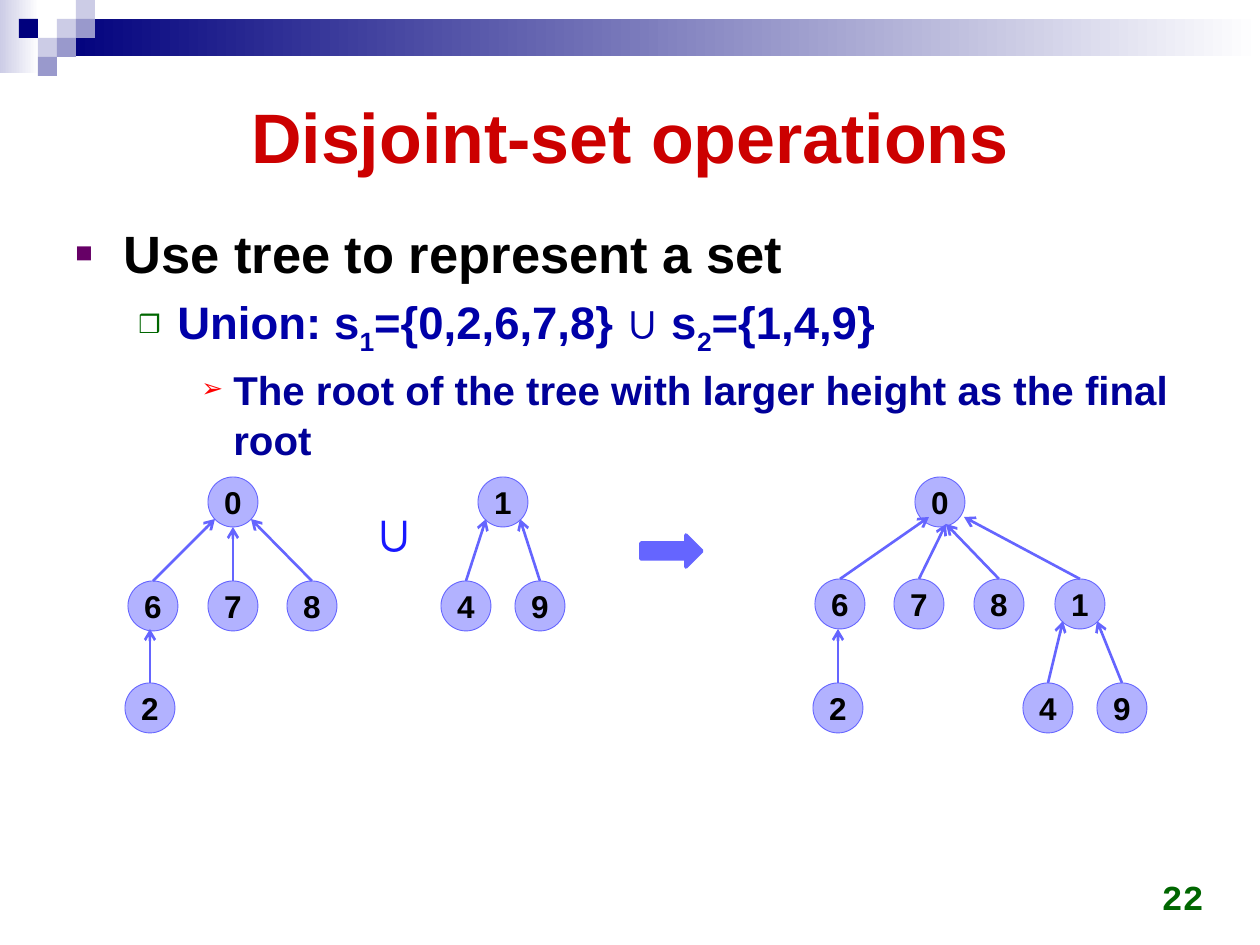
from collections import namedtuple
from dataclasses import dataclass

from pptx import Presentation
from pptx.dml.color import RGBColor
from pptx.enum import shapes, text
from pptx.oxml import parse_xml
from pptx.oxml.ns import nsdecls
from pptx.util import Emu, Pt

SCALE = 914400 / 126  # EMU per px
Box = namedtuple("Box", "left top width height")
Node = namedtuple("Node", "label x y")
Edge = namedtuple("Edge", "child parent dx dy")  # the tip is offset from the parent's centre
Bullet = namedtuple("Bullet", "char color percent margin hanging")


@dataclass(frozen=True)
class Theme:
    font: str = "Arial"
    number_font: str = "Courier New"
    symbol_font: str = "Times New Roman"
    title: str = "CC0000"
    black: str = "000000"
    union: str = "0000A8"
    detail: str = "000099"
    symbol: str = "1818FF"
    green: str = "006600"
    purple: str = "660066"
    red: str = "FF0000"
    navy: str = "00007D"
    pale: str = "CCCCE6"
    mid: str = "9999CC"
    white: str = "FFFFFF"
    node: str = "B2B2FF"
    edge: str = "6565FF"
    title_size: int = 40
    level_sizes: tuple = (30, 26, 23)
    symbol_size: int = 32
    number_size: int = 20
    node_size: int = 18


THEME = Theme()


def px(value):
    return Emu(round(value * SCALE))


def rgb(value):
    return RGBColor.from_string(value)


def place(box):
    return [px(value) for value in box]


def write_span(para, words, size, color, font=THEME.font, bold=True, base=0):
    span = para.add_run()
    span.text = words
    span.font.size, span.font.bold, span.font.name = Pt(size), bold, font
    span.font.color.rgb = rgb(color)
    if base:
        span._r.get_or_add_rPr().set("baseline", str(base * 1000))


def add_text_box(page, box, anchor=text.MSO_ANCHOR.TOP, wrap=True):
    frame = page.shapes.add_textbox(*place(box)).text_frame
    frame.word_wrap, frame.vertical_anchor = wrap, anchor
    return frame


def add_label(page, box, words, align, anchor, wrap=True, **style):
    para = add_text_box(page, box, anchor, wrap).paragraphs[0]
    para.alignment = align
    write_span(para, words, **style)


def add_solid(page, kind, box, fill, line=None, weight=1):
    shape = page.shapes.add_shape(kind, *place(box))
    shape.shadow.inherit = False
    shape.fill.solid()
    shape.fill.fore_color.rgb = rgb(fill)
    if line:
        shape.line.color.rgb = rgb(line)
        shape.line.width = Pt(weight)
    else:
        shape.line.fill.background()
    return shape


def add_fade(page, box, start):
    shape = add_solid(page, shapes.MSO_SHAPE.RECTANGLE, box, start)
    shape.fill.gradient()
    shape.fill.gradient_angle = 0
    for stop, position, color in zip(shape.fill.gradient_stops, (0, 1), (start, THEME.white)):
        stop.position = position
        stop.color.rgb = rgb(color)


def add_arrow(page, start, end):
    line = page.shapes.add_connector(shapes.MSO_CONNECTOR.STRAIGHT, *place(start + end))
    line.line.color.rgb = rgb(THEME.edge)
    line.line.width = Pt(1.5)
    line.line._get_or_add_ln().append(parse_xml(f'<a:tailEnd {nsdecls("a")} type="arrow"/>'))
    line._element.spPr.append(parse_xml(f'<a:effectLst {nsdecls("a")}/>'))


def set_bullet(para, bullet):
    props = para._p.get_or_add_pPr()
    props.set("marL", str(px(bullet.margin)))
    props.set("indent", str(-px(bullet.hanging)))
    for xml in (f'<a:buClr {nsdecls("a")}><a:srgbClr val="{bullet.color}"/></a:buClr>',
                f'<a:buSzPct {nsdecls("a")} val="{bullet.percent * 1000}"/>',
                f'<a:buFont {nsdecls("a")} typeface="{THEME.font}"/>',
                f'<a:buChar {nsdecls("a")} char="{bullet.char}"/>'):
        props.append(parse_xml(xml))


def draw_banner(page, box):
    unit = 19
    add_fade(page, Box(box.left, box.top, 39, box.height), THEME.pale)
    bar_left = box.left + 3 * unit
    add_fade(page, Box(bar_left, box.top + unit, box.width - 3 * unit, 2 * unit - 1), THEME.navy)
    # Mosaic squares as column, row, colour
    for column, row, color in ((3, 1, THEME.pale), (4, 0, THEME.pale), (4, 1, THEME.mid),
                               (2, 2, THEME.pale), (1, 1, THEME.navy), (3, 2, THEME.mid),
                               (2, 3, THEME.mid)):
        square = Box(box.left + column * unit, box.top + row * unit, unit, unit)
        add_solid(page, shapes.MSO_SHAPE.RECTANGLE, square, color)


def draw_outline(page, box):
    levels = (
        (Bullet("■", THEME.purple, 55, 48, 48), THEME.black,
         (("Use tree to represent a set", 0),)),
        (Bullet("❒", THEME.green, 55, 102, 39), THEME.union,
         (("Union: s", 0), ("1", -25), ("={0,2,6,7,8} ∪ s", 0), ("2", -25), ("={1,4,9}", 0))),
        (Bullet("➢", THEME.red, 65, 158, 32), THEME.detail,
         (("The root of the tree with larger height as the final root", 0),)),
    )
    frame = add_text_box(page, box)
    for level, (bullet, color, spans) in enumerate(levels):
        para = frame.add_paragraph() if level else frame.paragraphs[0]
        size = THEME.level_sizes[level]
        para.level = level
        set_bullet(para, bullet)
        para.line_spacing = 1.05
        para.space_before = Pt(0.15 * size if level else 0)
        for words, base in spans:
            write_span(para, words, size, color, base=base)


def draw_tree(page, box, nodes, edges):
    size = 50
    centres = {node.label: (box.left + node.x, box.top + node.y) for node in nodes}
    for label, (x, y) in centres.items():
        circle = add_solid(page, shapes.MSO_SHAPE.OVAL,
                           Box(x - size // 2, y - size // 2, size, size),
                           THEME.node, THEME.edge, 0.5)
        frame = circle.text_frame
        frame.word_wrap, frame.vertical_anchor = False, text.MSO_ANCHOR.MIDDLE
        para = frame.paragraphs[0]
        para.alignment = text.PP_ALIGN.CENTER
        write_span(para, label, THEME.node_size, THEME.black)
    for edge in edges:
        x, y = centres[edge.child]
        tip_x, tip_y = centres[edge.parent]
        add_arrow(page, (x, y - size // 2), (tip_x + edge.dx, tip_y + edge.dy))


def draw_union(page, box):
    # First operand
    draw_tree(page, Box(box.left, box.top, 212, box.height),
              (Node("0", 108, 25), Node("6", 28, 129), Node("7", 108, 129),
               Node("8", 187, 129), Node("2", 25, 231)),
              (Edge("6", "0", -18, 17), Edge("7", "0", 0, 25),
               Edge("8", "0", 18, 17), Edge("2", "6", -3, 23)))
    add_label(page, Box(box.left + 229, box.top + 13, 69, 81), "∪",
              text.PP_ALIGN.LEFT, text.MSO_ANCHOR.TOP, wrap=False,
              size=THEME.symbol_size, color=THEME.symbol, font=THEME.symbol_font)
    # Second operand
    draw_tree(page, Box(box.left + 316, box.top, 124, box.height),
              (Node("1", 62, 25), Node("4", 25, 129), Node("9", 99, 129)),
              (Edge("4", "1", -17, 17), Edge("9", "1", 17, 17)))
    # Result
    add_solid(page, shapes.MSO_SHAPE.RIGHT_ARROW, Box(box.left + 516, box.top + 58, 61, 32),
              THEME.edge, THEME.edge, 2)
    draw_tree(page, Box(box.left + 688, box.top, 334, box.height),
              (Node("0", 127, 25), Node("6", 27, 127), Node("7", 106, 127),
               Node("8", 186, 127), Node("1", 267, 127), Node("2", 25, 231),
               Node("4", 235, 231), Node("9", 309, 231)),
              (Edge("6", "0", -11, 15), Edge("7", "0", 6, 22), Edge("8", "0", 6, 22),
               Edge("1", "0", 24, 15), Edge("4", "1", -17, 17),
               Edge("9", "1", 17, 17), Edge("2", "6", -2, 25)))


def main():
    deck = Presentation()
    deck.slide_width, deck.slide_height = px(1260), px(945)
    page = deck.slides.add_slide(deck.slide_layouts[6])
    draw_banner(page, Box(0, 0, 1260, 73))
    add_label(page, Box(63, 63, 1134, 146), "Disjoint-set operations",
              text.PP_ALIGN.CENTER, text.MSO_ANCHOR.MIDDLE,
              size=THEME.title_size, color=THEME.title)
    draw_outline(page, Box(63, 212, 1134, 647))
    add_label(page, Box(922, 861, 294, 63), "22", text.PP_ALIGN.RIGHT, text.MSO_ANCHOR.BOTTOM,
              size=THEME.number_size, color=THEME.green, font=THEME.number_font)
    draw_union(page, Box(125, 477, 1022, 256))
    deck.save("out.pptx")


if __name__ == "__main__":
    main()
